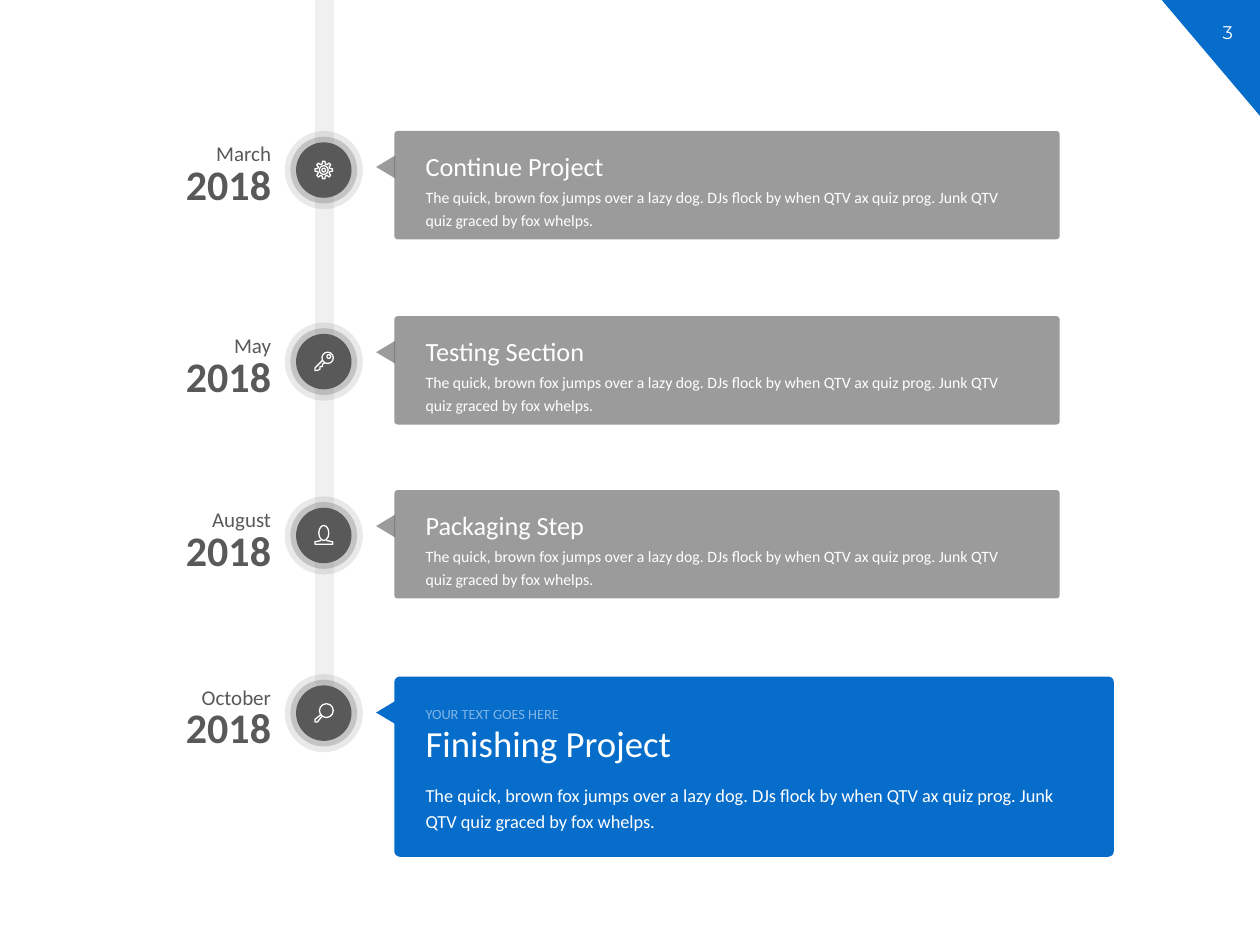
"""Build a vertical project timeline with three grey cards and a blue final card."""
import math

import pptx
import pptx.dml.color
import pptx.enum.shapes
import pptx.enum.text
import pptx.oxml
import pptx.oxml.ns
import pptx.util

SHAPE = pptx.enum.shapes.MSO_SHAPE
ALIGN = pptx.enum.text.PP_ALIGN
COLORS = {"blue": "066DCA", "gray": "595959", "white": "FFFFFF"}
W, H = 10, 7.5
BODY = ("The quick, brown fox jumps over a lazy dog. DJs flock by when QTV ax quiz prog. "
        "Junk QTV quiz graced by fox whelps.")
PAGE, KICKER, FINAL = "3", "YOUR TEXT GOES HERE", "Finishing Project"
STEPS = [
    {"month": "March", "year": "2018", "y": 1.35, "icon": "gear", "title": "Continue Project", "card": 1.04},
    {"month": "May", "year": "2018", "y": 2.87, "icon": "key", "title": "Testing Section", "card": 2.51},
    {"month": "August", "year": "2018", "y": 4.25, "icon": "person", "title": "Packaging Step", "card": 3.89},
    {"month": "October", "year": "2018", "y": 5.66, "icon": "lens"},
]
RINGS = [(0.62, 13), (0.53, 25), (0.44, 100)]
AXIS, DATE_RIGHT, CARD_X, TEXT_X = 2.57, 2.25, 3.13, 3.28
GEAR = [(r * math.cos(math.radians(45 * k + a)), r * math.sin(math.radians(45 * k + a)))
        for k in range(8) for a, r in ((-14, 0.05), (-8, 0.07), (8, 0.07), (14, 0.05))]
ICONS = {
    "gear": {"ovals": [(0, 0, 0.07, 0.07), (0, 0, 0.03, 0.03)], "lines": [(GEAR, True)]},
    "key": {"ovals": [(0.03, -0.03, 0.09, 0.09), (0.04, -0.04, 0.03, 0.03)],
            "lines": [([(-0.01, -0.01), (-0.07, 0.05), (-0.07, 0.07), (-0.05, 0.07), (-0.03, 0.06),
                        (-0.03, 0.04), (-0.01, 0.04), (-0.01, 0.02), (0.01, 0.01)], False)]},
    "person": {"ovals": [(0, -0.02, 0.08, 0.12)],
               "lines": [([(-0.02, 0.04), (-0.07, 0.05), (-0.07, 0.07), (0.07, 0.07),
                           (0.07, 0.05), (0.02, 0.04)], False)]},
    "lens": {"ovals": [(0.02, -0.02, 0.11, 0.11)],
             "lines": [([(-0.02, 0.01), (-0.07, 0.05), (-0.07, 0.07), (-0.05, 0.07), (-0.01, 0.02)], False)]},
}

prs = pptx.Presentation()
prs.slide_width, prs.slide_height = pptx.util.Inches(W), pptx.util.Inches(H)
s = prs.slides.add_slide(prs.slide_layouts[6])


def inches(*values):
    return [pptx.util.Inches(v) for v in values]


def rgb(name):
    return pptx.dml.color.RGBColor.from_string(COLORS[name])


def set_alpha(sp, alpha):
    for clr in sp.element.iter(pptx.oxml.ns.qn("a:srgbClr")):
        node = pptx.oxml.parse_xml('<a:alpha %s val="%d"/>' % (pptx.oxml.ns.nsdecls("a"), alpha * 1000))
        clr.append(node)


def add_text(text, x, y, w, h, size, color="white", font="Calibri", align=ALIGN.LEFT,
             bold=False, spacing=None, alpha=100):
    sp = s.shapes.add_textbox(*inches(x, y, w, h))
    tf = sp.text_frame
    tf.word_wrap = True
    tf.auto_size = pptx.enum.text.MSO_AUTO_SIZE.SHAPE_TO_FIT_TEXT
    p = tf.paragraphs[0]
    p.alignment, p.line_spacing = align, spacing
    r = p.add_run()
    r.text = text
    r.font.name, r.font.size, r.font.bold = font, pptx.util.Pt(size), bold
    r.font.color.rgb = rgb(color)
    if alpha < 100:
        set_alpha(sp, alpha)


def add_fill(kind, x, y, w, h, color, alpha=100, rotation=0):
    sp = s.shapes.add_shape(kind, *inches(x, y, w, h))
    sp.shadow.inherit = False
    sp.rotation = rotation
    sp.fill.solid()
    sp.fill.fore_color.rgb = rgb(color)
    sp.line.fill.background()
    if alpha < 100:
        set_alpha(sp, alpha)
    return sp


def add_card(y, w, h, pointer_y, color, alpha=100):
    card = add_fill(SHAPE.ROUNDED_RECTANGLE, CARD_X, y, w, h, color, alpha)
    card.adjustments[0] = 0.03
    add_fill(SHAPE.ISOSCELES_TRIANGLE, CARD_X - 0.16, pointer_y - 0.07, 0.18, 0.15, color, alpha, 270)


def set_outline(sp):
    sp.shadow.inherit = False
    sp.fill.background()
    sp.line.color.rgb = rgb("white")
    sp.line.width = pptx.util.Pt(0.75)


def add_icon(icon, cx, cy):
    for dx, dy, w, h in icon["ovals"]:
        set_outline(s.shapes.add_shape(SHAPE.OVAL, *inches(cx + dx - w / 2, cy + dy - h / 2, w, h)))
    for points, closed in icon["lines"]:
        pts = [inches(cx + dx, cy + dy) for dx, dy in points]
        fb = s.shapes.build_freeform(*pts[0], scale=1.0)
        fb.add_line_segments(pts[1:], close=closed)
        set_outline(fb.convert_to_shape())


add_fill(SHAPE.RIGHT_TRIANGLE, W - 0.78, 0, 0.78, 0.92, "blue", rotation=180)
add_text(PAGE, W - 0.51, 0.12, 0.51, 0.28, 10.5, font="Montserrat", align=ALIGN.CENTER)

add_card(5.37, 5.71, 1.43, 5.65, "blue")
add_text(BODY, TEXT_X, 6.14, 5.4, 0.53, 10.5, spacing=1.2)
add_text(FINAL, TEXT_X, 5.67, 5.26, 0.45, 21)
add_text(KICKER, TEXT_X, 5.52, 5.4, 0.27, 8.2, spacing=1.2, alpha=50)

add_fill(SHAPE.RECTANGLE, AXIS - 0.07, 0, 0.15, 5.7, "gray", 9)
for step in STEPS:
    y = step["y"]
    add_text(step["year"], DATE_RIGHT - 1.3, y - 0.14, 1.3, 0.5, 24, "gray", align=ALIGN.RIGHT, bold=True)
    add_text(step["month"], DATE_RIGHT - 1.19, y - 0.32, 1.19, 0.34, 12, "gray", align=ALIGN.RIGHT, spacing=1.2)
    if "card" in step:
        top = step["card"]
        add_card(top, 5.28, 0.86, top + 0.28, "gray", 60)
        add_text(BODY, TEXT_X, top + 0.37, 4.87, 0.46, 9, spacing=1.2)
        add_text(step["title"], TEXT_X, top + 0.1, 5.26, 0.35, 15)
    for size, alpha in RINGS:
        add_fill(SHAPE.OVAL, AXIS - size / 2, y - size / 2, size, size, "gray", alpha)
    add_icon(ICONS[step["icon"]], AXIS, y)

prs.save("out.pptx")
